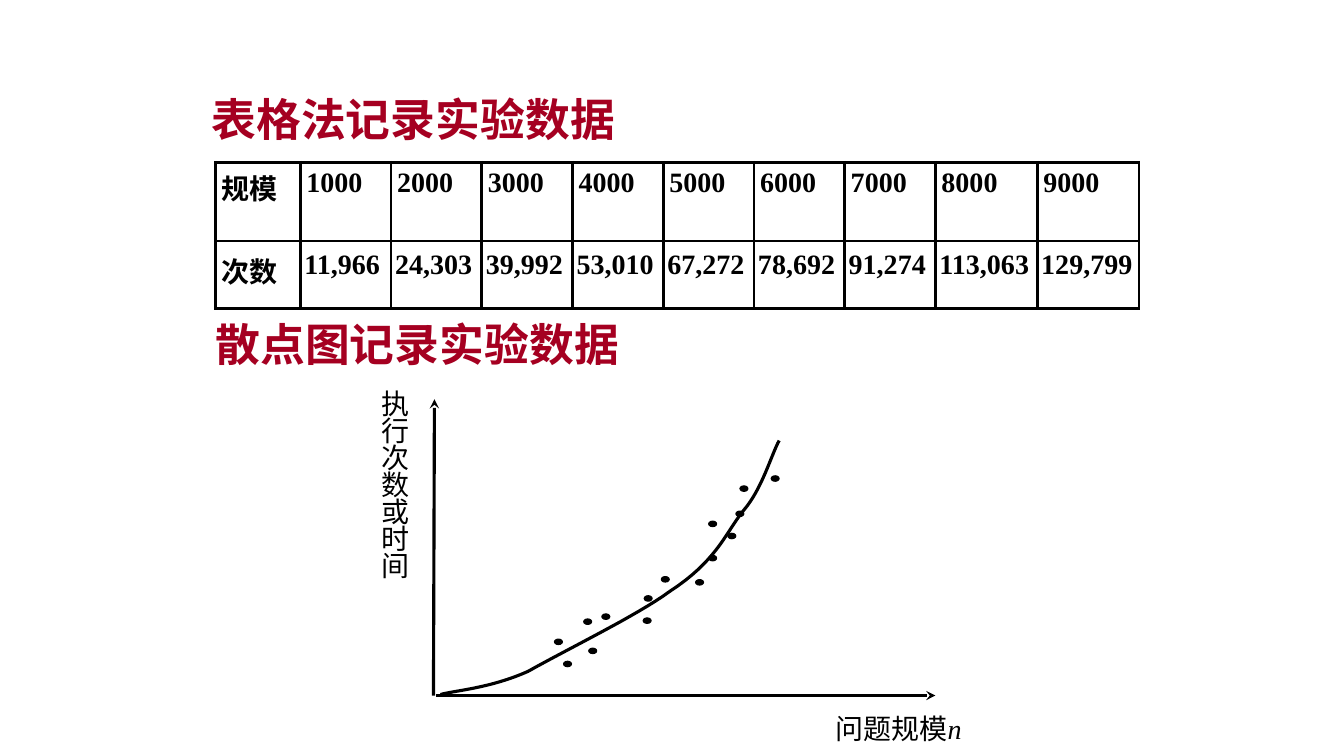
"""Build a slide that records experiment data in a table and a scatter diagram."""
from itertools import product

from lxml.etree import SubElement
from pptx import Presentation
from pptx.dml.color import RGBColor
from pptx.enum.shapes import MSO_CONNECTOR, MSO_SHAPE
from pptx.enum.text import MSO_ANCHOR, MSO_AUTO_SIZE
from pptx.oxml import parse_xml
from pptx.oxml.ns import nsdecls, qn
from pptx.util import Inches, Pt

COLORS = {"heading": "A50021", "ink": "000000"}
HEADING = {"name": "Arial", "size": Pt(32), "bold": True}
CELL = {"name": "Times New Roman", "size": Pt(20), "bold": True}
LABEL = {"name": "Arial", "size": Pt(20)}
VARIABLE = {"name": "Times New Roman", "size": Pt(20), "italic": True}
LINE_WIDTH = Pt(2.25)


def grid(*steps):
    """Convert grid steps of a tenth of an inch to lengths."""
    return [Inches(step / 10) for step in steps]


def write(paragraph, text, formats, color="ink"):
    """Add a formatted run to a paragraph."""
    run = paragraph.add_run()
    run.text = text
    run.font.color.rgb = RGBColor.from_string(COLORS[color])
    for name, value in formats.items():
        setattr(run.font, name, value)


presentation = Presentation()
presentation.slide_width, presentation.slide_height = grid(133.33, 75)
slide = presentation.slides.add_slide(presentation.slide_layouts[6])
shapes = slide.shapes
ink = RGBColor.from_string(COLORS["ink"])

headings = [(20, 8.6, "表格法记录实验数据"), (20.4, 30.9, "散点图记录实验数据")]
for left, top, text in headings:
    frame = shapes.add_textbox(*grid(left, top, 43.4, 6.3)).text_frame
    frame.word_wrap = False
    frame.auto_size = MSO_AUTO_SIZE.SHAPE_TO_FIT_TEXT
    frame.vertical_anchor = MSO_ANCHOR.MIDDLE
    write(frame.paragraphs[0], text, HEADING, "heading")

records = [
    ["规模"] + [str(size) for size in range(1000, 10000, 1000)],
    ["次数", "11,966", "24,303", "39,992", "53,010", "67,272", "78,692",
     "91,274", "113,063", "129,799"],
]
column_widths = grid(8.4, *[9] * 7, 10.1, 10.1)
row_heights = grid(7.8, 6.7)
table = shapes.add_table(
    len(row_heights), len(column_widths), *grid(21.4, 16.1),
    sum(column_widths), sum(row_heights)).table
table.first_row = table.horz_banding = False
for column, width in zip(table.columns, column_widths):
    column.width = width
for row, height in zip(table.rows, row_heights):
    row.height = height

for row, column in product(range(len(row_heights)), range(len(column_widths))):
    cell = table.cell(row, column)
    margins = {
        "margin_left": Inches(0.04 if row and column else 0.06),
        "margin_right": 0,
        "margin_top": Inches(0.09 if row else 0.05),
        "margin_bottom": 0,
    }
    for name, value in margins.items():
        setattr(cell, name, value)
    cell.fill.background()
    write(cell.text_frame.paragraphs[0], records[row][column], CELL)
    properties = cell._tc.get_or_add_tcPr()
    for position, side in enumerate("LRTB"):
        properties.insert(position, parse_xml(
            f'<a:ln{side} {nsdecls("a")} w="{LINE_WIDTH}"><a:solidFill>'
            f'<a:srgbClr val="{COLORS["ink"]}"/></a:solidFill></a:ln{side}>'))

axes = [(43.3, 69, 92.8, 69), (43, 69, 43.1, 39.6)]
for ends in axes:
    axis = shapes.add_connector(MSO_CONNECTOR.STRAIGHT, *grid(*ends))
    axis.line.color.rgb = ink
    axis.line.width = LINE_WIDTH
    SubElement(axis.line._get_or_add_ln(), qn("a:tailEnd"), type="stealth")
    SubElement(axis._element.spPr, qn("a:effectLst"))

frame = shapes.add_textbox(*grid(37.8, 39, 3.5, 29.5)).text_frame
frame.word_wrap = True
for side in ("left", "right", "top", "bottom"):
    setattr(frame, f"margin_{side}", 0)
for index, character in enumerate("执行次数或时间"):
    paragraph = frame.add_paragraph() if index else frame.paragraphs[0]
    paragraph.line_spacing = 0.8
    write(paragraph, character, LABEL)

points = [
    (55.9, 65.6), (55, 63.4), (65.6, 57.2), (58.4, 64.3), (63.8, 61.3),
    (69, 57.5), (70.3, 55.1), (70.3, 51.7), (73.4, 48.2), (76.5, 47.2),
    (73, 50.7), (72.2, 52.9), (59.7, 60.9), (57.9, 61.4), (63.9, 59.1),
]
for left, top in points:
    dot = shapes.add_shape(MSO_SHAPE.OVAL, *grid(left, top, 0.8, 0.55))
    dot.shadow.inherit = False
    dot.fill.solid()
    dot.fill.fore_color.rgb = ink
    dot.line.color.rgb = ink
    dot.line.width = Pt(0.75)

start = (43.7, 68.9)
bends = [
    ((45.1, 68.5), (48.6, 68.3), (52.4, 66.6)),
    ((56.1, 64.5), (63.3, 61), (66.4, 58.7)),
    ((71.2, 55.6), (72, 52.8), (73.8, 50.6)),
    ((75.6, 48.5), (76.5, 45.2), (77.3, 43.7)),
]
steps = 16
trace = []
anchor = start
for bend in bends:
    for step in range(1, steps + 1):
        t = step / steps
        weights = ((1 - t) ** 3, 3 * t * (1 - t) ** 2, 3 * t ** 2 * (1 - t), t ** 3)
        trace.append(grid(*[
            sum(weight * value for weight, value in zip(weights, values))
            for values in zip(anchor, *bend)]))
    anchor = bend[-1]
builder = shapes.build_freeform(*grid(*start))
builder.add_line_segments(trace, close=False)
curve = builder.convert_to_shape()
curve.shadow.inherit = False
curve.fill.background()
curve.line.color.rgb = ink
curve.line.width = LINE_WIDTH

frame = shapes.add_textbox(*grid(81.9, 70.1, 17.7, 4.4)).text_frame
frame.word_wrap = True
frame.auto_size = MSO_AUTO_SIZE.SHAPE_TO_FIT_TEXT
for text, formats in (("问题规模", LABEL), ("n", VARIABLE)):
    write(frame.paragraphs[0], text, formats)

presentation.save("out.pptx")
